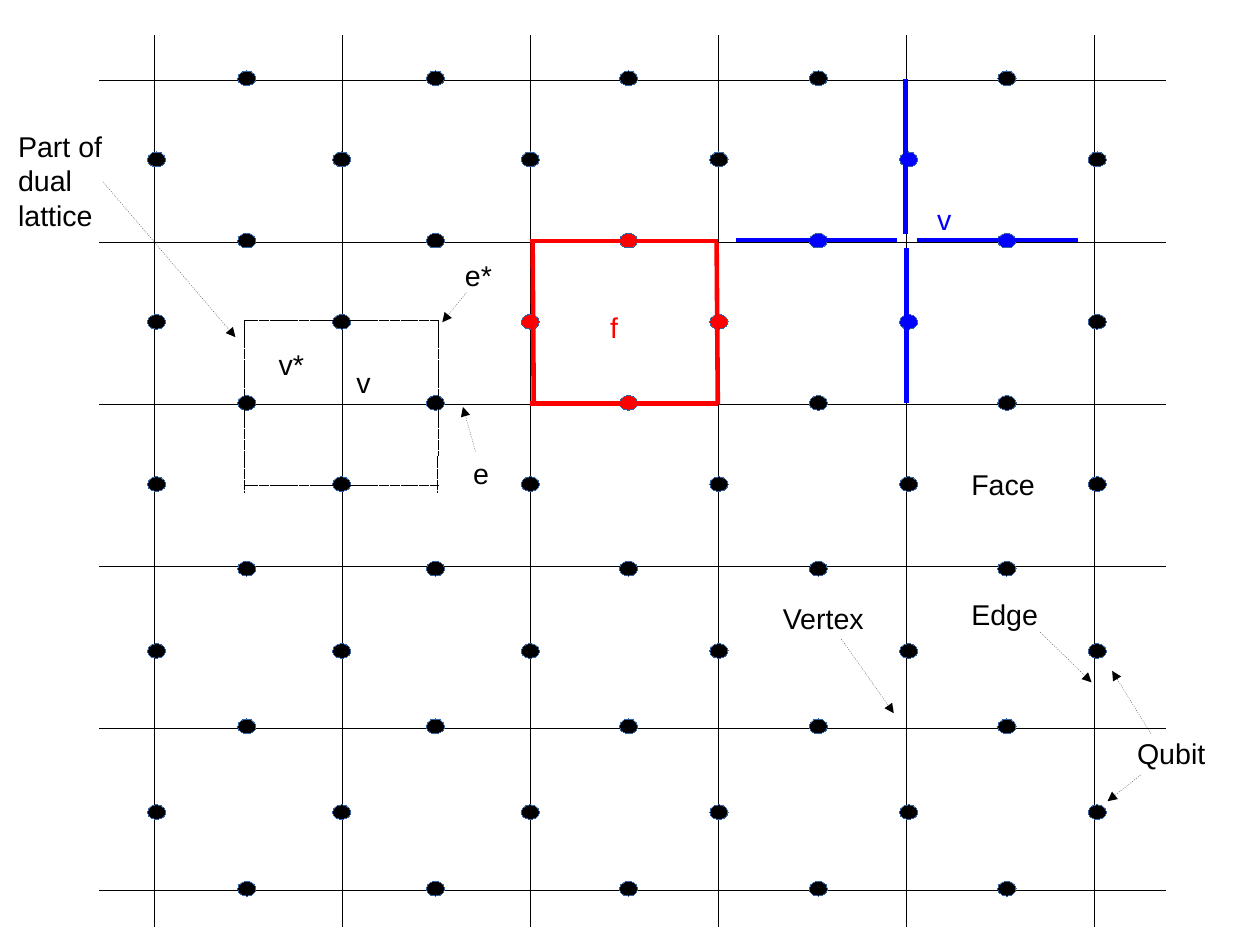
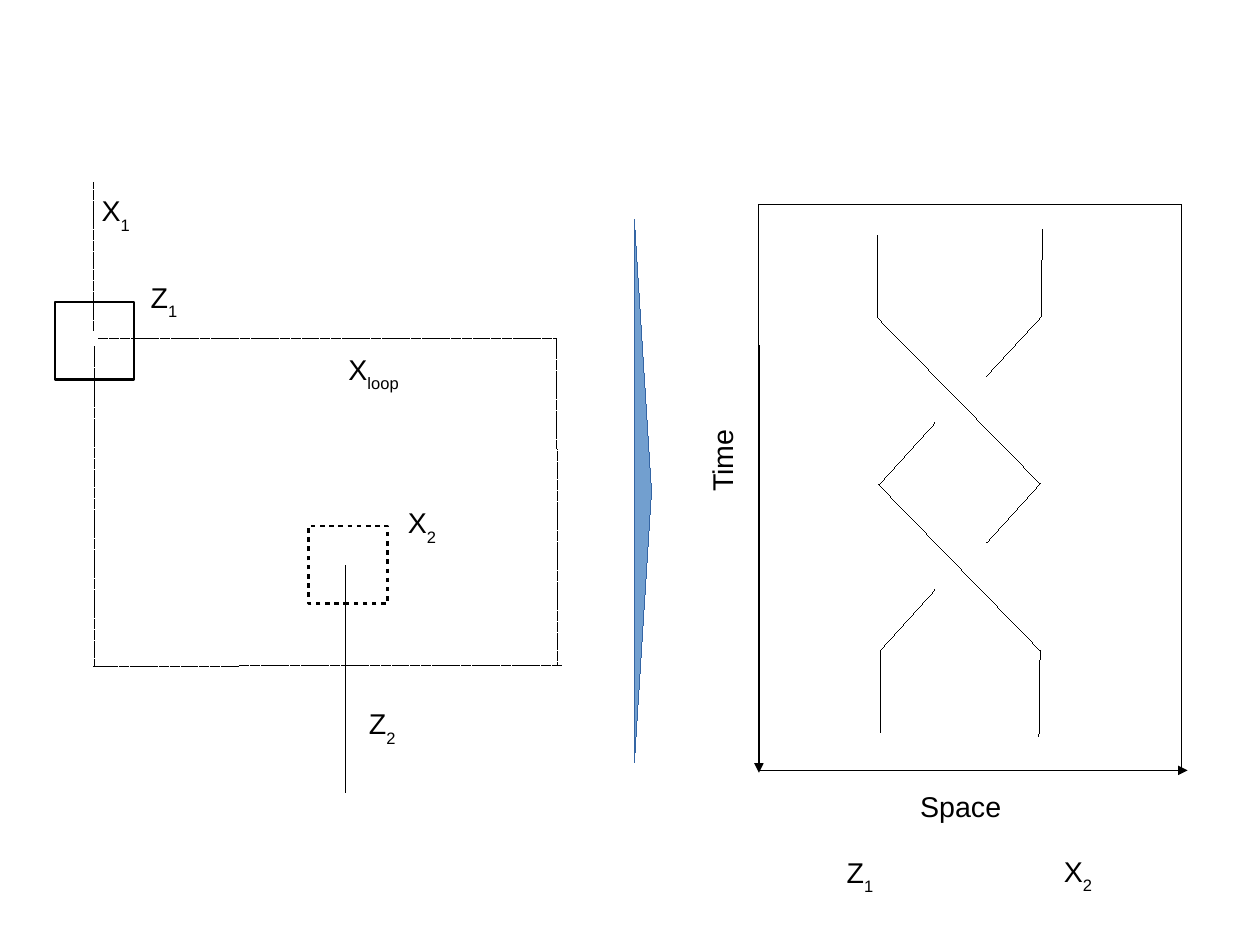
import itertools

import lxml.etree
import pptx
import pptx.dml.color
import pptx.enum.shapes
import pptx.enum.text
import pptx.oxml.ns
import pptx.util

# Shared style
COLORS = {"ink": "000000", "face": "FF0000", "vertex": "0000FF",
          "outline": "3465A4", "wedge": "729FCF"}
FONT, FONT_SIZE = "Arial", 18
HAIRLINE, BOLD_EDGE, HOLE_EDGE = 0, 2.89, 1.45
# Dash and gap, as shares of the line width
DASHED, DOTTED, HOLE_DASH = (2, 1), (1, 1), (2, 2)
SLIDE_W_CM, SLIDE_H_CM = 28, 21

# Slide 1: square lattice of qubits
CELLS = 5
LATTICE = {"left": 1.35, "right": 9.58, "top": 0.7, "bottom": 7.79}
ROW_ENDS, COLUMN_ENDS = (0.87, 10.2), (0.31, 8.11)
QUBIT_W, QUBIT_H = 0.16, 0.13
# Left and top positions of the qubits on horizontal and vertical edges
QUBITS = {
    "horizontal": ([2.08, 3.73, 5.42, 7.08, 8.73],
                   [0.62, 2.04, 3.46, 4.91, 6.29, 7.71]),
    "vertical": ([1.29, 2.91, 4.56, 6.21, 7.87, 9.52],
                 [1.33, 2.75, 4.17, 5.63, 7.04]),
}
# Marked qubits: (edge direction, column, row)
MARKED_QUBITS = {
    "face": {("horizontal", 2, 1), ("horizontal", 2, 2),
             ("vertical", 2, 1), ("vertical", 3, 1)},
    "vertex": {("horizontal", 3, 1), ("horizontal", 4, 1),
               ("vertical", 4, 0), ("vertical", 4, 1)},
}
FACE_EDGES = [[(4.64, 2.11), (6.28, 2.11)], [(4.64, 3.53), (6.28, 3.53)],
              [(4.66, 2.12), (4.67, 3.54)], [(6.27, 2.12), (6.28, 3.54)]]
VERTEX_EDGES = [[(7.92, 0.69), (7.92, 2.05)], [(7.93, 2.17), (7.93, 3.53)],
                [(6.44, 2.1), (7.85, 2.1)], [(8.02, 2.1), (9.43, 2.1)]]
DUAL_EDGES = [[(2.14, 2.8), (2.14, 4.31)], [(2.14, 2.8), (3.84, 2.8)],
              [(3.84, 2.8), (3.83, 4.31)], [(2.14, 4.25), (3.84, 4.25)]]
POINTERS = [
    [(9.98, 6.78), (9.69, 7.01)], [(10.07, 6.42), (9.73, 5.87)],
    [(7.36, 5.59), (7.82, 6.24)], [(9.1, 5.53), (9.55, 5.97)],
    [(4.16, 3.95), (4.05, 3.56)], [(4.08, 2.56), (3.87, 2.82)],
    [(0.9, 1.59), (2.06, 2.95)],
]
LATTICE_LABELS = [
    ("Qubit", (9.85, 6.39, 1.17, 0.66), "ink"),
    ("Vertex", (6.75, 5.21, 1.12, 0.38), "ink"),
    ("Edge", (8.4, 5.17, 0.94, 0.38), "ink"),
    ("Face", (8.4, 4.04, 1, 0.38), "ink"),
    ("f", (5.24, 2.66, 0.57, 0.38), "face"),
    ("v", (8.1, 1.72, 0.47, 0.38), "vertex"),
    ("v", (3.02, 3.14, 0.24, 0.43), "ink"),
    ("v*", (2.34, 2.99, 0.44, 0.66), "ink"),
    ("e", (4.04, 3.94, 0.31, 0.38), "ink"),
    ("e*", (3.97, 2.21, 0.76, 0.38), "ink"),
    ("Part of dual lattice", (0.06, 1.08, 1.03, 0.94), "ink"),
]

# Slide 2: holes, loop and braid
HOLE_SIZE = (0.69, 0.68)
HOLES = [((0.48, 2.64), None), ((2.7, 4.6), HOLE_DASH)]
X_CHAINS = [
    [(0.82, 1.6), (0.82, 2.9)],
    [(0.83, 3.03), (0.83, 5.83)],
    [(0.82, 5.83), (4.92, 5.82)],
    [(0.86, 2.96), (4.87, 2.96), (4.88, 5.82)],
]
Z_CHAIN = [(3.02, 4.95), (3.02, 6.93)]
OPERATOR_SIZE = (1.06, 0.44)
# An underscore starts the subscript
OPERATORS = [("X_1", (0.79, 1.64)), ("Z_1", (1.22, 2.4)),
             ("X_loop", (2.95, 3.03)), ("X_2", (3.47, 4.37)),
             ("Z_2", (3.13, 6.13)), ("Z_1", (7.31, 7.43)),
             ("X_2", (9.21, 7.42))]
SPACETIME = (6.64, 1.79, 3.7, 4.95)
AXES = [[(6.66, 6.74), (10.39, 6.74)], [(6.64, 3.02), (6.64, 6.76)]]
AXIS_LABELS = [("Time", (5.83, 3.84, 0.95, 0.38), 270),
               ("Space", (7.93, 6.85, 0.95, 0.38), 0)]
WEDGE = (3.25, 4.22, 4.75, 0.15)
STRANDS = [
    [(7.68, 2.06), (7.68, 2.78), (9.1, 4.23), (8.63, 4.75)],
    [(9.12, 2.01), (9.11, 2.77), (8.63, 3.29)],
    [(8.18, 3.7), (7.69, 4.24), (9.1, 5.69), (9.09, 6.44)],
    [(8.18, 5.16), (7.7, 5.69), (7.7, 6.41)],
]


def inches(lengths):
    return [pptx.util.Inches(length) for length in lengths]


def rgb(color):
    return pptx.dml.color.RGBColor.from_string(COLORS[color])


def add_tag(parent, tag, **attributes):
    return lxml.etree.SubElement(parent, pptx.oxml.ns.qn(tag), attributes)


def style_line(line, color, width, dash=None, arrow=False):
    line.color.rgb = rgb(color)
    outline = line._get_or_add_ln()
    # A zero width has to be written out, or the theme's width applies
    outline.set("w", str(int(pptx.util.Pt(width))))
    if dash:
        on, off = (str(round(share * 100000)) for share in dash)
        add_tag(add_tag(outline, "a:custDash"), "a:ds", d=on, sp=off)
    if arrow:
        add_tag(outline, "a:tailEnd", type="triangle")


def draw_path(slide, points, color="ink", width=HAIRLINE, dash=None,
              arrow=False):
    for start, end in itertools.pairwise(points):
        segment = slide.shapes.add_connector(
            pptx.enum.shapes.MSO_CONNECTOR.STRAIGHT, *inches(start + end))
        style_line(segment.line, color, width, dash, arrow)
        add_tag(segment._element.spPr, "a:effectLst")


def draw_shape(slide, kind, box, fill=None, outline="ink", width=HAIRLINE,
               dash=None, rotation=0):
    preset = pptx.enum.shapes.MSO_SHAPE[kind]
    shape = slide.shapes.add_shape(preset, *inches(box))
    shape.shadow.inherit = False
    shape.rotation = rotation
    if fill:
        shape.fill.solid()
        shape.fill.fore_color.rgb = rgb(fill)
    else:
        shape.fill.background()
    style_line(shape.line, outline, width, dash)


def write(slide, text, box, color="ink", centred=False, rotation=0):
    label = slide.shapes.add_textbox(*inches(box))
    label.rotation = rotation
    label.text_frame.word_wrap = True
    paragraph = label.text_frame.paragraphs[0]
    if centred:
        paragraph.alignment = pptx.enum.text.PP_ALIGN.CENTER
    for position, part in enumerate(text.split("_")):
        run = paragraph.add_run()
        run.text = part
        run.font.name = FONT
        run.font.size = pptx.util.Pt(FONT_SIZE)
        run.font.color.rgb = rgb(color)
        if position:
            run.font._element.set("baseline", "-33000")


def grid_lines(first, last):
    return [first + (last - first) * i / CELLS for i in range(CELLS + 1)]


def qubit_color(place):
    return next((color for color, places in MARKED_QUBITS.items()
                 if place in places), "ink")


def build_lattice(slide):
    # Grid
    for y in grid_lines(LATTICE["top"], LATTICE["bottom"]):
        draw_path(slide, [(x, y) for x in ROW_ENDS])
    for x in grid_lines(LATTICE["left"], LATTICE["right"]):
        draw_path(slide, [(x, y) for y in COLUMN_ENDS])
    # Qubits
    for direction, (lefts, tops) in QUBITS.items():
        for (row, top), (column, left) in itertools.product(
                enumerate(tops), enumerate(lefts)):
            draw_shape(slide, "OVAL", (left, top, QUBIT_W, QUBIT_H),
                       qubit_color((direction, column, row)), "outline")
    # Marked face, marked vertex and dual lattice
    for edge in FACE_EDGES:
        draw_path(slide, edge, "face", BOLD_EDGE)
    for edge in VERTEX_EDGES:
        draw_path(slide, edge, "vertex", BOLD_EDGE)
    for edge in DUAL_EDGES:
        draw_path(slide, edge, dash=DASHED)
    # Labels and their pointers
    for pointer in POINTERS:
        draw_path(slide, pointer, dash=DOTTED, arrow=True)
    for text, box, color in LATTICE_LABELS:
        write(slide, text, box, color)


def build_braid(slide):
    # Holes and chains
    for corner, dash in HOLES:
        draw_shape(slide, "RECTANGLE", corner + HOLE_SIZE,
                   width=HOLE_EDGE, dash=dash)
    for chain in X_CHAINS:
        draw_path(slide, chain, dash=DASHED)
    draw_path(slide, Z_CHAIN)
    # Space-time diagram
    draw_shape(slide, "RECTANGLE", SPACETIME)
    for axis in AXES:
        draw_path(slide, axis, arrow=True)
    for strand in STRANDS:
        draw_path(slide, strand)
    draw_shape(slide, "FLOWCHART_MERGE", WEDGE, "wedge", "outline",
               rotation=270)
    # Labels
    for text, corner in OPERATORS:
        write(slide, text, corner + OPERATOR_SIZE)
    for text, box, rotation in AXIS_LABELS:
        write(slide, text, box, centred=True, rotation=rotation)


def main():
    deck = pptx.Presentation()
    deck.slide_width = pptx.util.Cm(SLIDE_W_CM)
    deck.slide_height = pptx.util.Cm(SLIDE_H_CM)
    blank = deck.slide_layouts[6]
    build_lattice(deck.slides.add_slide(blank))
    build_braid(deck.slides.add_slide(blank))
    deck.save("out.pptx")


if __name__ == "__main__":
    main()
